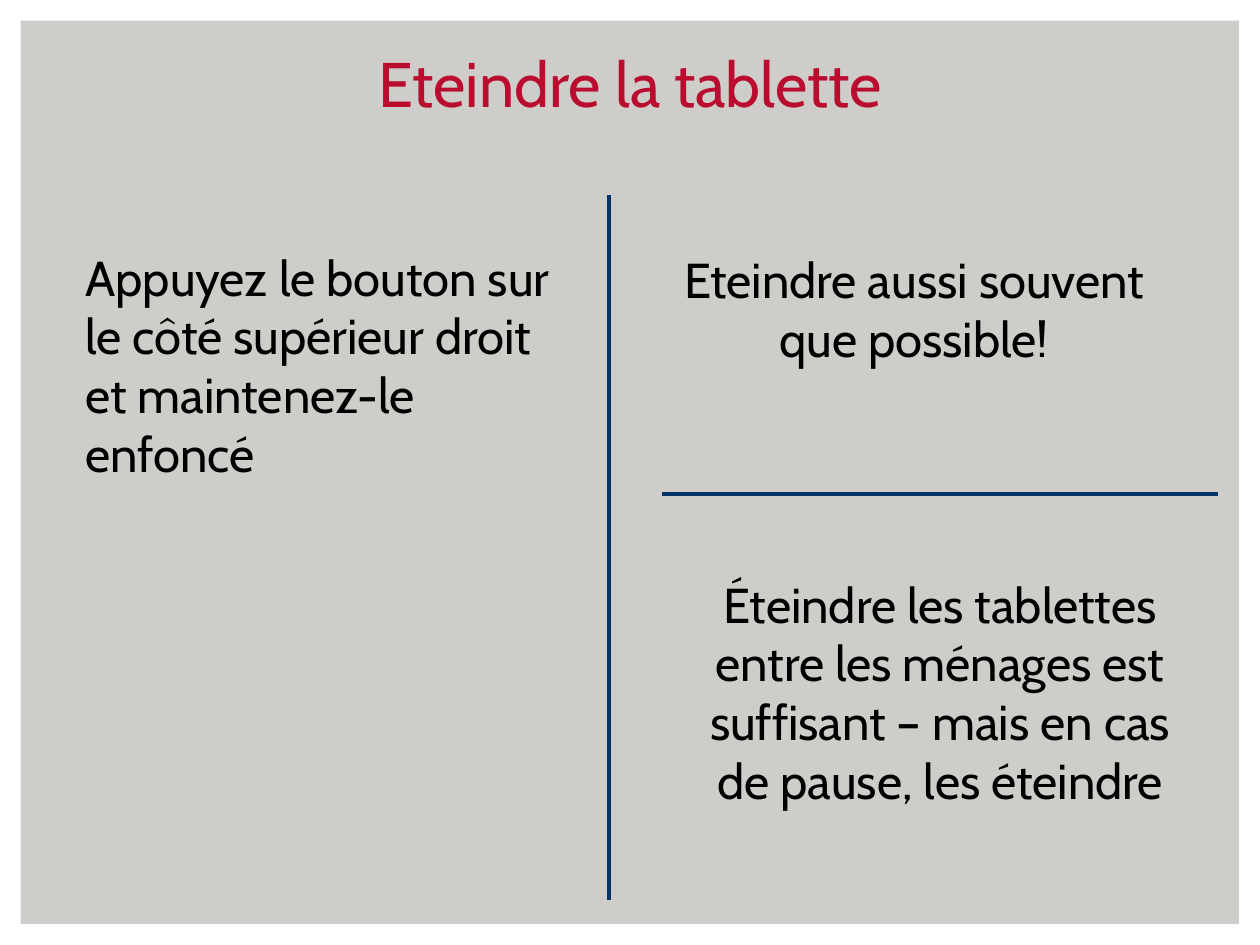
"""Build the slide on switching off the tablet."""
from lxml.etree import SubElement
from pptx import Presentation
from pptx.dml.color import RGBColor
from pptx.enum.shapes import MSO_CONNECTOR, MSO_SHAPE
from pptx.enum.text import MSO_ANCHOR, MSO_AUTO_SIZE, PP_ALIGN
from pptx.oxml.ns import qn
from pptx.util import Emu, Pt

THEME = {
    "font": "Cabin",
    "title_size": 36,
    "body_size": 28,
    "rule_width": 2.25,
    "background": "CFCDC9",
    "frame": "FFFFFF",
    "title": "BA0C2F",
    "body": "000000",
    "rule": "003366",
}
SLIDE_SIZE = (1260, 945)
FRAME_RATIO = 0.022

TITLE = ("Eteindre la tablette", (95, 42, 1071, 84))
ADVICE = [
    ("Appuyez le bouton sur le côté supérieur droit et maintenez-le enfoncé",
     (73, 241, 504, 251), PP_ALIGN.LEFT),
    ("Eteindre aussi souvent que possible!",
     (662, 243, 504, 131), PP_ALIGN.CENTER),
    ("Éteindre les tablettes entre les ménages est suffisant – mais en cas de pause, les éteindre",
     (688, 568, 504, 251), PP_ALIGN.CENTER),
]
RULES = [(609, 195, 609, 900), (1218, 494, 662, 494)]


def px(length):
    return Emu(round(length * 914400 / 126))


def color(part):
    return RGBColor.from_string(THEME[part])


def write(text_frame, wording, part, align):
    text_frame.word_wrap = True
    paragraph = text_frame.paragraphs[0]
    paragraph.alignment = align
    run = paragraph.add_run()
    run.text = wording
    run.font.name = THEME["font"]
    run.font.size = Pt(THEME[f"{part}_size"])
    run.font.color.rgb = color(part)


def add_title(slide):
    wording, box = TITLE
    title = slide.shapes.title
    title.left, title.top, title.width, title.height = map(px, box)
    title.text_frame.auto_size = MSO_AUTO_SIZE.NONE
    title.text_frame.vertical_anchor = MSO_ANCHOR.BOTTOM
    write(title.text_frame, wording, "title", PP_ALIGN.CENTER)


def add_frame(slide):
    frame = slide.shapes.add_shape(MSO_SHAPE.FRAME, 0, 0, *map(px, SLIDE_SIZE))
    frame.adjustments[0] = FRAME_RATIO
    frame.shadow.inherit = False
    frame.fill.solid()
    frame.fill.fore_color.rgb = color("frame")
    frame.line.fill.background()
    slide.shapes.title.element.addprevious(frame.element)


def add_advice(slide, wording, box, align):
    advice = slide.shapes.add_textbox(*map(px, box))
    advice.text_frame.auto_size = MSO_AUTO_SIZE.SHAPE_TO_FIT_TEXT
    write(advice.text_frame, wording, "body", align)


def add_rule(slide, ends):
    rule = slide.shapes.add_connector(MSO_CONNECTOR.STRAIGHT, *map(px, ends))
    rule.line.color.rgb = color("rule")
    rule.line.width = Pt(THEME["rule_width"])
    SubElement(rule.element.spPr, qn("a:effectLst"))


def main():
    deck = Presentation()
    deck.slide_width, deck.slide_height = map(px, SLIDE_SIZE)
    slide = deck.slides.add_slide(deck.slide_layouts.get_by_name("Title Only"))
    slide.background.fill.solid()
    slide.background.fill.fore_color.rgb = color("background")
    add_title(slide)
    add_frame(slide)
    for wording, box, align in ADVICE:
        add_advice(slide, wording, box, align)
    for ends in RULES:
        add_rule(slide, ends)
    deck.save("out.pptx")


if __name__ == "__main__":
    main()
